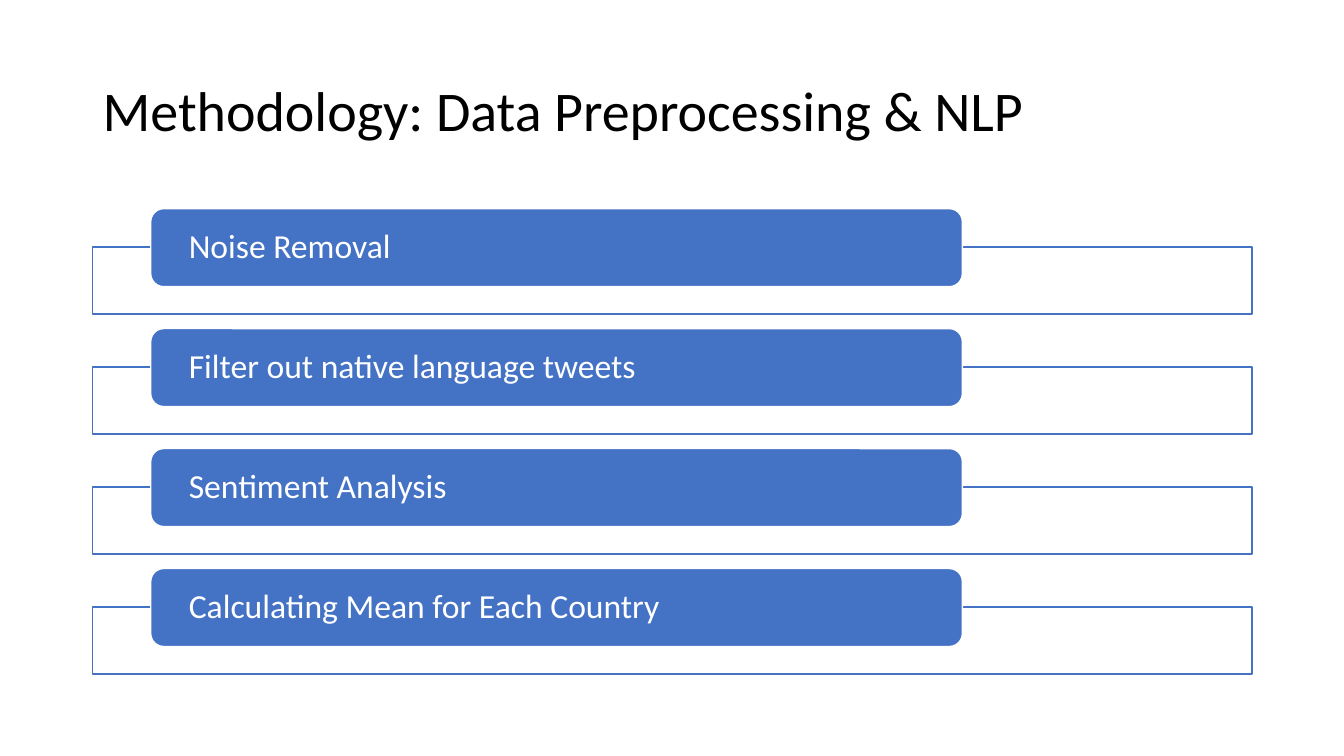
"""Build the methodology slide: a title above four tabbed step frames."""
from dataclasses import dataclass

from lxml.etree import SubElement
from pptx import Presentation
from pptx.dml.color import RGBColor as Rgb
from pptx.enum.shapes import MSO_SHAPE as Kind
from pptx.enum.text import MSO_ANCHOR as Anchor, PP_ALIGN as Align
from pptx.oxml.ns import qn
from pptx.util import Inches, Pt

HUES = {"blue": "4472C4", "white": "FFFFFF", "black": "000000"}
LEFT, TOP = 0.92, 2.07
COL, ROW = 11.5 / 20, 1.19
STEPS = (
    "Noise Removal",
    "Filter out native language tweets",
    "Sentiment Analysis",
    "Calculating Mean for Each Country",
)


@dataclass(frozen=True)
class Box:
    col: float
    row: float
    cols: float
    rows: float

    def down(self, count: int) -> "Box":
        return Box(self.col, self.row + count, self.cols, self.rows)

    def place(self) -> tuple:
        return (Inches(LEFT + self.col * COL), Inches(TOP + self.row * ROW),
                Inches(self.cols * COL), Inches(self.rows * ROW))


@dataclass(frozen=True)
class Style:
    kind: Kind
    fill: str
    line: str


TITLE = Box(0, -1.4, 20, 1.22)
FRAME = Box(0, 0.32, 20, 0.56)
TAB = Box(1, 0, 14, 0.65)
PLAIN = Style(Kind.RECTANGLE, "white", "blue")
SOLID = Style(Kind.ROUNDED_RECTANGLE, "blue", "white")


def tint(name: str) -> Rgb:
    return Rgb.from_string(HUES[name])


def draw(slide, box: Box, style: Style):
    shape = slide.shapes.add_shape(style.kind, *box.place())
    shape.shadow.inherit = False
    shape.fill.solid()
    shape.fill.fore_color.rgb = tint(style.fill)
    shape.line.color.rgb = tint(style.line)
    shape.line.width = Pt(1)
    return shape


def fade(shape, share: int) -> None:
    hue = shape.element.xpath("./p:spPr/a:solidFill/a:srgbClr")[0]
    SubElement(hue, qn("a:alpha"), val=str(share * 1000))


def write(shape, text: str, size: int, hue: str, inset: float) -> None:
    frame = shape.text_frame
    frame.text = text
    frame.word_wrap = True
    frame.vertical_anchor = Anchor.MIDDLE
    frame.margin_left = frame.margin_right = Inches(inset)
    frame.margin_top = frame.margin_bottom = 0
    line = frame.paragraphs[0]
    line.alignment = Align.LEFT
    line.line_spacing = 0.9
    font = line.runs[0].font
    font.name = "Calibri"
    font.size = Pt(size)
    font.color.rgb = tint(hue)


def main() -> None:
    deck = Presentation()
    deck.slide_width, deck.slide_height = Inches(13.33), Inches(7.5)
    slide = deck.slides.add_slide(deck.slide_layouts[6])
    title = slide.shapes.add_textbox(*TITLE.place())
    write(title, "Methodology: Data Preprocessing & NLP", 40, "black", 0.1)
    for count, step in enumerate(STEPS):
        fade(draw(slide, FRAME.down(count), PLAIN), 90)
        write(draw(slide, TAB.down(count), SOLID), step, 24, "white", 0.34)
    deck.save("out.pptx")


if __name__ == "__main__":
    main()
